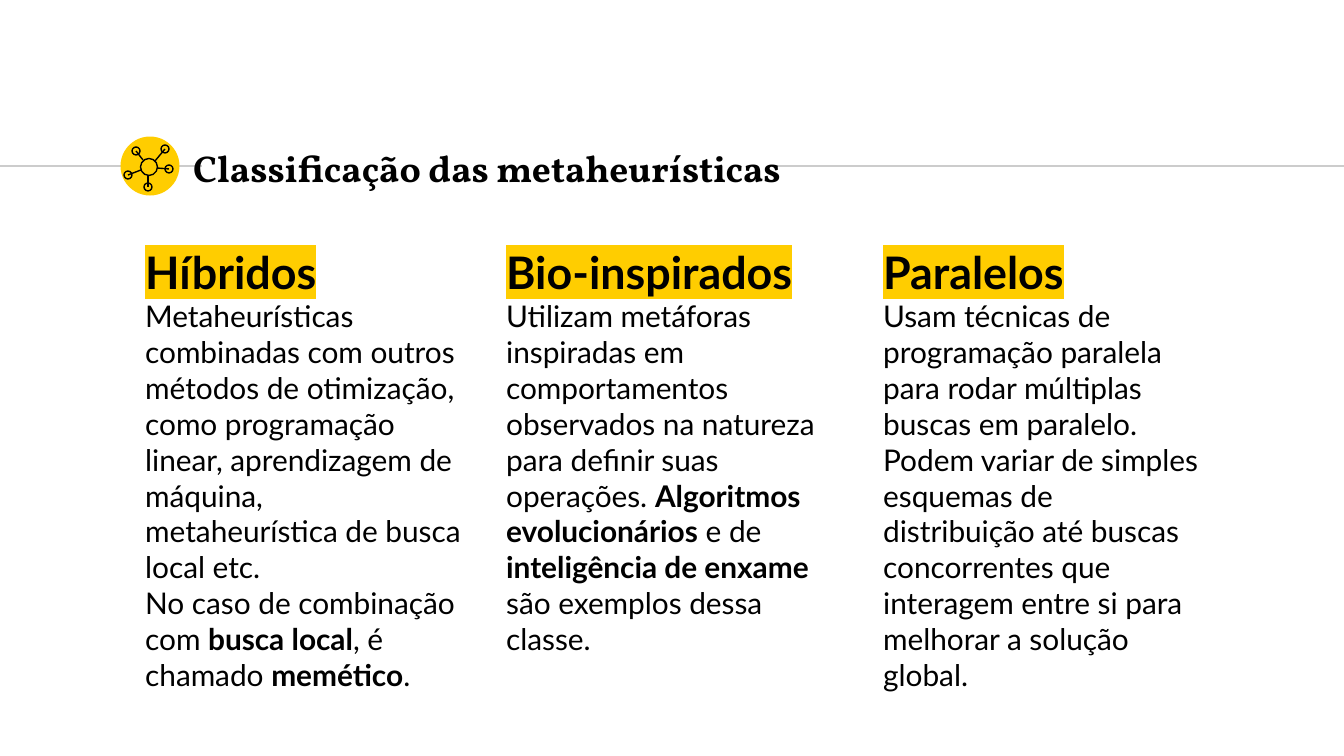
from lxml import etree
from pptx import Presentation
from pptx.dml.color import RGBColor
from pptx.enum.shapes import MSO_CONNECTOR, MSO_SHAPE
from pptx.enum.text import MSO_ANCHOR
from pptx.oxml.ns import qn
from pptx.util import Emu, Pt

STRAIGHT = MSO_CONNECTOR.STRAIGHT
OVAL = MSO_SHAPE.OVAL
TOP, MIDDLE = MSO_ANCHOR.TOP, MSO_ANCHOR.MIDDLE
EMU_PER_PX = 914400 / 134.4
BLACK, YELLOW, GRAY = "000000", "FFCD00", "CCCCCC"
LINE_WIDTH = Pt(0.75)

TITLE_FORMAT = {"name": "Vollkorn", "size": Pt(20), "bold": True}
HEADING_FORMAT = {"name": "Lato", "size": Pt(24), "bold": True}
BODY_FORMAT = {"name": "Lato", "size": Pt(16), "bold": False}

RULE_Y = 166
HUB = (149, 167)
HUB_SIZE, NODE_SIZE = 17, 8
# Each node centre with the point where its spoke meets the hub
SPOKES = [
    ((165, 149), (155, 161)),
    ((136, 151), (143, 160)),
    ((128, 175), (141, 170)),
    ((148, 187), (148, 175)),
    ((169, 169), (157, 168)),
]

COLUMN_TOP, COLUMN_HEIGHT = 231, 458
# Left, width, heading, paragraphs; spans alternate between regular and bold
COLUMNS = [
    (132, 343, "Híbridos", [
        ["Metaheurísticas combinadas com outros métodos de otimização, como "
         "programação linear, aprendizagem de máquina, metaheurística de busca "
         "local etc."],
        ["No caso de combinação com ", "busca local", ", é chamado ",
         "memético", "."],
    ]),
    (493, 358, "Bio-inspirados", [
        ["Utilizam metáforas inspiradas em comportamentos observados na "
         "natureza para definir suas operações. ", "Algoritmos evolucionários",
         " e de ", "inteligência de enxame ", "são exemplos dessa classe."],
    ]),
    (870, 343, "Paralelos", [
        ["Usam técnicas de programação paralela para rodar múltiplas buscas em "
         "paralelo. Podem variar de simples esquemas de distribuição até buscas "
         "concorrentes que interagem entre si para melhorar a solução global."],
    ]),
]


def px(length):
    return Emu(round(length * EMU_PER_PX))


def color(value):
    return RGBColor.from_string(value)


def add_line(page, start, end, line_color):
    line = page.shapes.add_connector(STRAIGHT, *map(px, start + end))
    line.line.color.rgb = color(line_color)
    line.line.width = LINE_WIDTH
    etree.SubElement(line._element.spPr, qn("a:effectLst"))


def add_circle(page, center, size, fill=None):
    """Draw a filled disc, or a black ring when no fill is given."""
    left, top = (middle - size / 2 for middle in center)
    circle = page.shapes.add_shape(OVAL, *map(px, (left, top, size, size)))
    circle.shadow.inherit = False
    if fill:
        circle.fill.solid()
        circle.fill.fore_color.rgb = color(fill)
        circle.line.fill.background()
    else:
        circle.fill.background()
        circle.line.color.rgb = color(BLACK)
        circle.line.width = LINE_WIDTH


def add_text_frame(page, left, top, width, height, anchor):
    box = page.shapes.add_textbox(*map(px, (left, top, width, height)))
    frame = box.text_frame
    settings = {"word_wrap": True, "vertical_anchor": anchor}
    for side in ("left", "top", "right", "bottom"):
        settings[f"margin_{side}"] = Emu(91440)
    for name, value in settings.items():
        setattr(frame, name, value)
    return frame


def add_span(para, text, text_format):
    span = para.add_run()
    span.text = text
    for name, value in text_format.items():
        setattr(span.font, name, value)
    span.font.color.rgb = color(BLACK)
    return span


def highlight(span, value):
    mark = etree.Element(qn("a:highlight"))
    etree.SubElement(mark, qn("a:srgbClr"), val=value)
    span.font._element.find(qn("a:solidFill")).addnext(mark)


def add_network_icon(page):
    add_circle(page, (150, RULE_Y), 59, YELLOW)
    add_circle(page, HUB, HUB_SIZE)
    for node, joint in SPOKES:
        add_circle(page, node, NODE_SIZE)
        add_line(page, node, joint, BLACK)


def add_column(page, left, width, heading, paragraphs):
    frame = add_text_frame(page, left, COLUMN_TOP, width, COLUMN_HEIGHT, TOP)
    highlight(add_span(frame.paragraphs[0], heading, HEADING_FORMAT), YELLOW)
    for spans in paragraphs:
        para = frame.add_paragraph()
        for index, text in enumerate(spans):
            add_span(para, text, BODY_FORMAT | {"bold": index % 2 == 1})


def main():
    deck = Presentation()
    deck.slide_width, deck.slide_height = px(1344), px(756)
    page = deck.slides.add_slide(deck.slide_layouts[6])
    for start, end in ((0, 202), (774, 1344)):
        add_line(page, (start, RULE_Y), (end, RULE_Y), GRAY)
    add_network_icon(page)
    title = add_text_frame(page, 180, 136, 630, 64, MIDDLE)
    add_span(title.paragraphs[0], "Classificação das metaheurísticas", TITLE_FORMAT)
    for column in COLUMNS:
        add_column(page, *column)
    deck.save("out.pptx")


if __name__ == "__main__":
    main()
